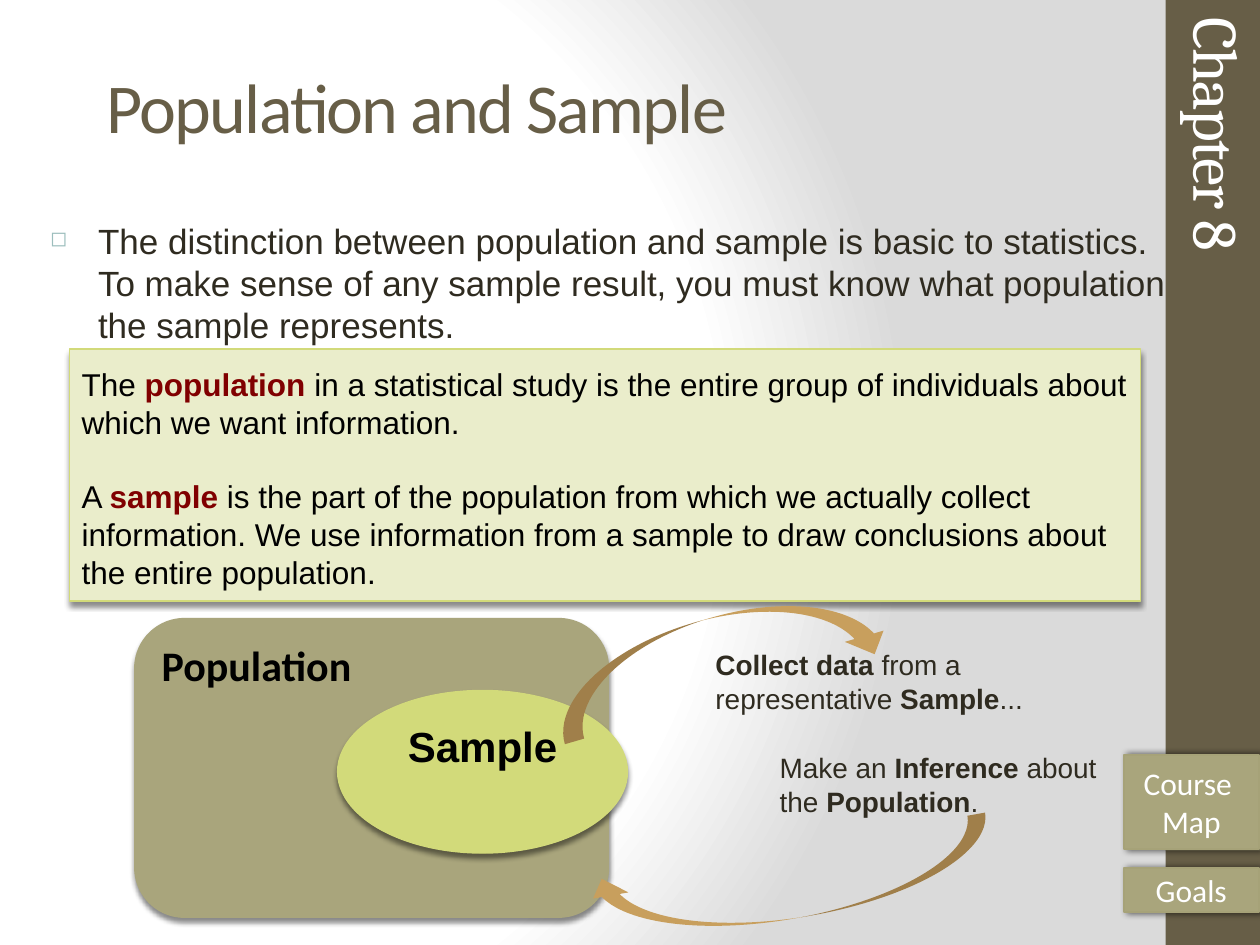
from dataclasses import dataclass
from typing import Optional

from lxml import etree
from pptx import Presentation
from pptx.dml.color import RGBColor
from pptx.enum.shapes import MSO_SHAPE
from pptx.enum.text import MSO_ANCHOR, PP_ALIGN
from pptx.oxml import parse_xml
from pptx.oxml.ns import nsdecls, qn
from pptx.util import Inches, Pt

RECT, ROUND = MSO_SHAPE.RECTANGLE, MSO_SHAPE.ROUNDED_RECTANGLE
OVAL, ARROW = MSO_SHAPE.OVAL, MSO_SHAPE.CURVED_DOWN_ARROW
BUTTON = MSO_SHAPE.ACTION_BUTTON_CUSTOM
LEFT, CENTER = PP_ALIGN.LEFT, PP_ALIGN.CENTER
TOP, MIDDLE = MSO_ANCHOR.TOP, MSO_ANCHOR.MIDDLE

CELL = Inches(0.1)
COLS, ROWS = 100, 75
BROWN, OLIVE, LIME, GOLD = "675E47", "A9A57C", "D2DA7A", "C89F5D"
PALE, INK, BLACK, WHITE, MAROON = "EAEDCB", "2F2B20", "000000", "FFFFFF", "800000"


@dataclass
class Shadow:
    alpha: int
    blur: float
    dist: float
    angle: int


@dataclass
class Text:
    paragraphs: list[str]
    size: int
    font: str = "Arial"
    color: str = INK
    strong: Optional[str] = None
    bold: bool = False
    align: PP_ALIGN = LEFT
    anchor: MSO_ANCHOR = TOP
    tracking: int = 0
    gap: float = 0
    top: float = 0.5


@dataclass
class Item:
    col: float
    row: float
    cols: float
    rows: float
    kind: Optional[MSO_SHAPE] = None
    fill: Optional[str] = None
    line: Optional[str] = None
    weight: float = 0.79
    shadow: Optional[Shadow] = None
    rotation: float = 0
    text: Optional[Text] = None
    bullet: bool = False


def rgb(value: str) -> RGBColor:
    return RGBColor.from_string(value)


def add_shadow(sp, shadow: Shadow) -> None:
    effects = sp._element.spPr.find(qn("a:effectLst"))
    outer = etree.SubElement(
        effects, qn("a:outerShdw"), blurRad=str(Pt(shadow.blur)),
        dist=str(Pt(shadow.dist)), dir=str(shadow.angle * 60000),
        algn="ctr", rotWithShape="0")
    color = etree.SubElement(outer, qn("a:srgbClr"), val=BLACK)
    etree.SubElement(color, qn("a:alpha"), val=str(shadow.alpha * 1000))


def add_bullet(p) -> None:
    p.space_before = Pt(7)
    pPr = p._p.get_or_add_pPr()
    pPr.set("marL", str(Inches(0.38)))
    pPr.set("indent", str(-Inches(0.38)))
    color = etree.SubElement(pPr, qn("a:buClr"))
    etree.SubElement(color, qn("a:srgbClr"), val="9CBEBD")
    etree.SubElement(pPr, qn("a:buSzPct"), val="60000")
    etree.SubElement(pPr, qn("a:buChar"), char="\u25fb")


def write(tf, text: Text) -> None:
    tf.word_wrap = True
    tf.vertical_anchor = text.anchor
    tf.margin_top = int(text.top * CELL)
    for i, line in enumerate(text.paragraphs):
        p = tf.add_paragraph() if i else tf.paragraphs[0]
        p.alignment = text.align
        if i and text.gap:
            p.space_before = Pt(text.gap)
        for j, part in enumerate(line.split("*")):
            if not part:
                continue
            marked = j % 2 == 1
            r = p.add_run()
            r.text = part
            r.font.name, r.font.size = text.font, Pt(text.size)
            r.font.bold = text.bold or marked
            r.font.color.rgb = rgb(text.strong if marked and text.strong else text.color)
            if text.tracking:
                r._r.get_or_add_rPr().set("spc", str(text.tracking * 100))


def draw(s, item: Item) -> None:
    box = [int(v * CELL) for v in (item.col, item.row, item.cols, item.rows)]
    if item.kind is None:
        sp = s.shapes.add_textbox(*box)
    else:
        sp = s.shapes.add_shape(item.kind, *box)
        sp.shadow.inherit = False
        sp.fill.solid()
        sp.fill.fore_color.rgb = rgb(item.fill)
        if item.line:
            sp.line.color.rgb = rgb(item.line)
            sp.line.width = Pt(item.weight)
        else:
            sp.line.fill.background()
        if item.shadow:
            add_shadow(sp, item.shadow)
    sp.rotation = item.rotation
    if item.text:
        write(sp.text_frame, item.text)
    if item.bullet:
        add_bullet(sp.text_frame.paragraphs[0])


def paint_background(s) -> None:
    stops = "".join(
        f'<a:gs pos="{pos * 1000}"><a:srgbClr val="{color}"/></a:gs>'
        for pos, color in ((0, WHITE), (75, WHITE), (100, "DADADA")))
    s._element.cSld.insert(0, parse_xml(
        f'<p:bg {nsdecls("p", "a")}><p:bgPr><a:gradFill rotWithShape="1">'
        f'<a:gsLst>{stops}</a:gsLst><a:path path="circle">'
        '<a:fillToRect l="20000" t="50000" r="100000" b="50000"/></a:path>'
        '</a:gradFill><a:effectLst/></p:bgPr></p:bg>'))


def nav_button(row: float, rows: float, lines: list[str]) -> Item:
    label = Text(lines, 18, "Calibri", WHITE, align=CENTER, anchor=MIDDLE)
    return Item(89.2, row, 10.7, rows, BUTTON, OLIVE, "A6A278", 1,
                Shadow(60, 4, 2, 0), text=label)


SOFT = Shadow(45, 3, 2.4, 90)
INTRO = ("The distinction between population and sample is basic to statistics. "
         "To make sense of any sample result, you must know what population "
         "the sample represents.")
DEFINITIONS = [
    "The *population *in a statistical study is the entire group of individuals "
    "about which we want information.",
    "A *sample *is the part of the population from which we actually collect "
    "information. We use information from a sample to draw conclusions about "
    "the entire population.",
]
ITEMS = [
    Item(92.5, 0, 7.5, ROWS, RECT, BROWN),
    Item(92.5, 60, 7.5, 7.5, RECT, OLIVE),
    Item(3, 16.9, 92, 14.7, text=Text([INTRO], 20), bullet=True),
    Item(7.5, 1.7, 85, 13.3, text=Text(
        ["Population and Sample"], 40, "Calibri", BROWN, anchor=MIDDLE, tracking=-1)),
    Item(5.5, 27.7, 85, 20, RECT, PALE, LIME, shadow=SOFT, text=Text(
        DEFINITIONS, 18, color=BLACK, strong=MAROON, gap=20.7, top=1.3)),
    Item(10.7, 49.1, 37.6, 23.7, ROUND, OLIVE, OLIVE, shadow=SOFT, text=Text(
        ["Population"], 24, "Calibri", BLACK, bold=True)),
    Item(26.8, 54.8, 23, 12.9, OVAL, LIME, LIME, shadow=SOFT, text=Text(
        ["Sample"], 24, color=BLACK, bold=True, align=CENTER)),
    Item(43.4, 49, 27.2, 6.4, ARROW, GOLD, rotation=343.8),
    Item(55.8, 50.9, 33.8, 6.4, text=Text(
        ["*Collect data *from a representative *Sample*..."], 16)),
    Item(60.9, 59.1, 28.3, 6.4, text=Text(
        ["Make an *Inference *about the *Population*."], 16)),
    Item(46.6, 67.2, 32.3, 5.7, ARROW, GOLD, rotation=170.2),
    Item(73.8, 19.3, 45.8, 8, rotation=90, text=Text(
        ["Chapter 8"], 36, "Cambria", WHITE, anchor=MIDDLE, tracking=-1)),
    nav_button(59.9, 7.5, ["Course ", "Map"]),
    nav_button(68.9, 3.5, ["Goals"]),
]

prs = Presentation()
prs.slide_width, prs.slide_height = COLS * CELL, ROWS * CELL
s = prs.slides.add_slide(prs.slide_layouts[6])
paint_background(s)
for item in ITEMS:
    draw(s, item)
prs.save("out.pptx")
